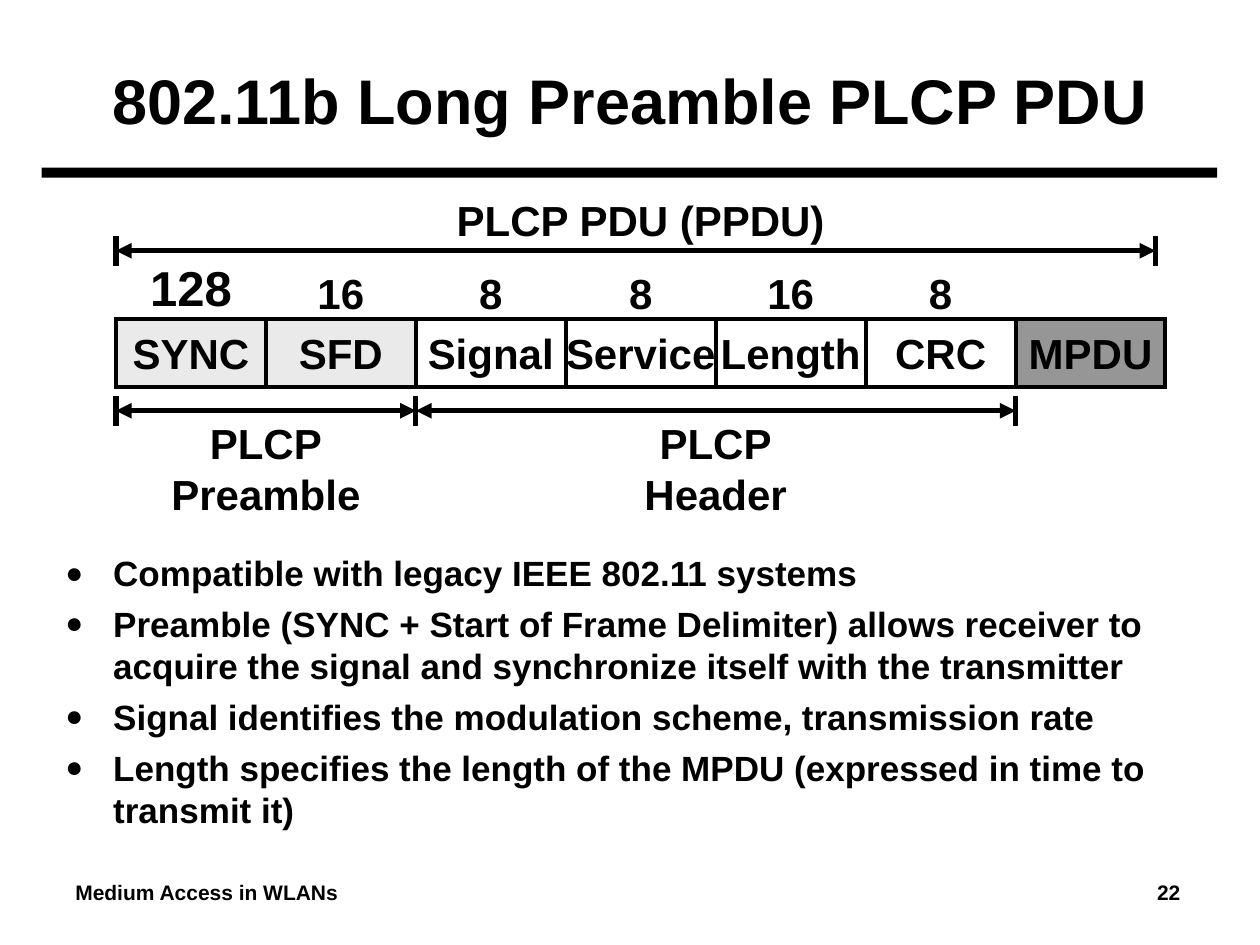
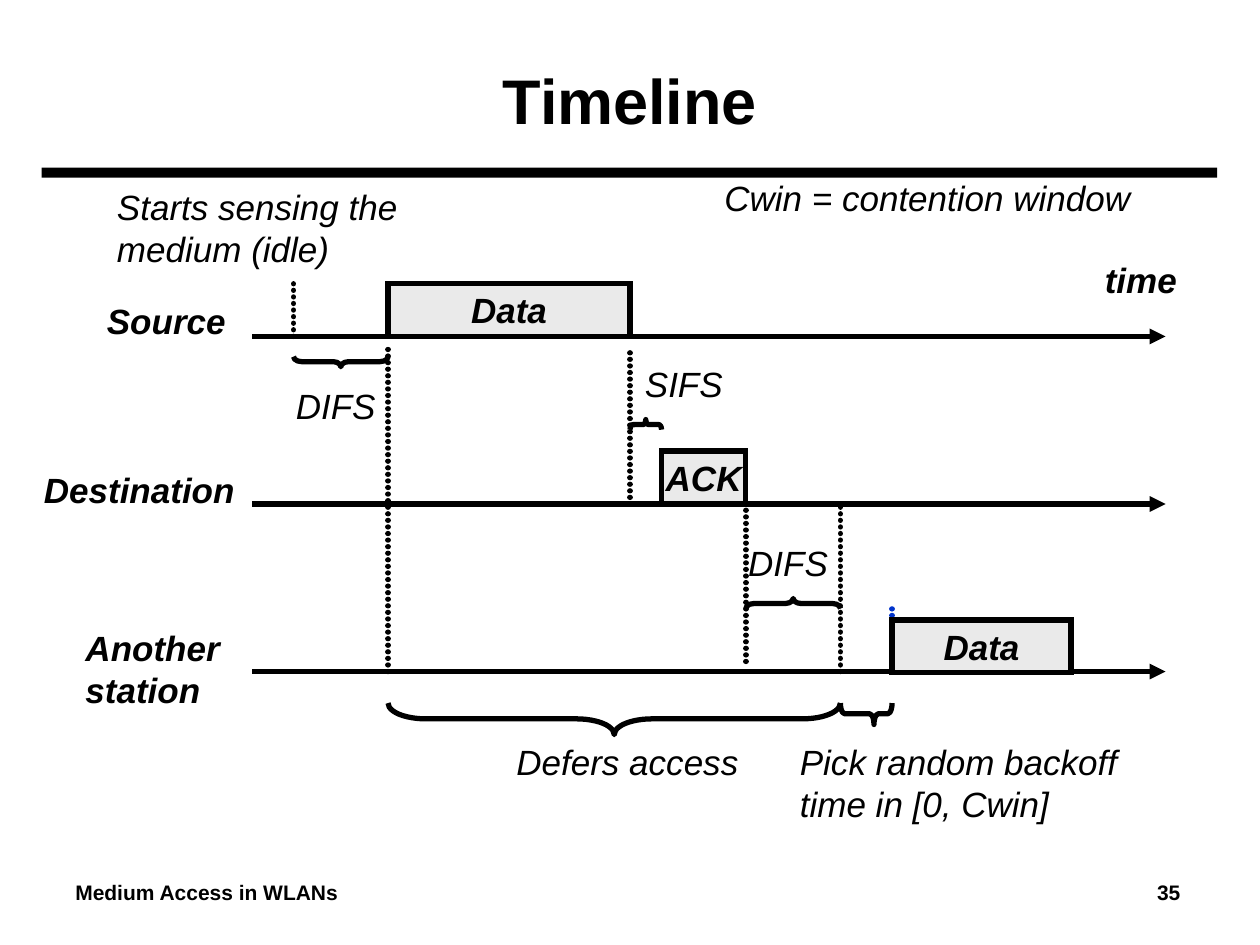
from pptx import Presentation
from pptx.dml.color import RGBColor
from pptx.enum.shapes import MSO_CONNECTOR, MSO_SHAPE
from pptx.enum.text import MSO_ANCHOR, MSO_AUTO_SIZE, PP_ALIGN
from pptx.oxml.ns import qn
from pptx.util import Inches, Pt
from lxml.etree import SubElement

# Shared look
hues = {"ink": "000000", "paper": "FFFFFF", "pale": "EAEAEA", "gray": "969696", "blue": "0033CC"}
rgb = {name: RGBColor.from_string(code) for name, code in hues.items()}
base = {"name": "Arial", "bold": True, "italic": False}
big = {**base, "size": Pt(24)}
strong = {**base, "size": Pt(20), "italic": True}
light = {**strong, "bold": False}


def write(shape, words, style, align=PP_ALIGN.LEFT, anchor=MSO_ANCHOR.TOP, wrap=True):
    frame = shape.text_frame
    frame.text = words
    frame.word_wrap = wrap
    frame.auto_size = MSO_AUTO_SIZE.NONE
    frame.vertical_anchor = anchor
    for para in frame.paragraphs:
        para.alignment = align
        para.font.color.rgb = rgb["ink"]
        for key, value in style.items():
            setattr(para.font, key, value)
    return frame


def draw(slide, x1, y1, x2, y2, ends=(), dots=False, hue="ink"):
    line = slide.shapes.add_connector(
        MSO_CONNECTOR.STRAIGHT, Inches(x1), Inches(y1), Inches(x2), Inches(y2))
    line.line.color.rgb = rgb[hue]
    line.line.width = Pt(3)
    props = line._element.spPr
    stroke = props.find(qn("a:ln"))
    if dots:
        stroke.set("cap", "rnd")
        dash = SubElement(stroke, qn("a:custDash"))
        SubElement(dash, qn("a:ds"), d="100000", sp="25000")
    for end in ends:
        SubElement(stroke, qn(f"a:{end}"), type="triangle")
    SubElement(props, qn("a:effectLst"))


deck = Presentation()
deck.slide_width, deck.slide_height = Inches(10), Inches(7.5)

# Titles and footers
slides = []
for name, page in [("802.11b Long Preamble PLCP PDU", 22), ("Timeline", 35)]:
    slide = deck.slides.add_slide(deck.slide_layouts[5])
    slides.append(slide)
    title = slide.shapes.title
    title.left, title.top, title.width, title.height = map(Inches, (0.5, 0.25, 9, 1.08))
    write(title, name, {**base, "size": Pt(36)}, PP_ALIGN.CENTER, MSO_ANCHOR.MIDDLE)
    foot = slide.shapes.add_textbox(*map(Inches, (0.5, 6.83, 9, 0.5)))
    frame = write(foot, f"Medium Access in WLANs\t{page}", {**base, "size": Pt(12)},
                  anchor=MSO_ANCHOR.MIDDLE)
    props = frame.paragraphs[0]._p.get_or_add_pPr()
    tabs = SubElement(props, qn("a:tabLst"))
    SubElement(tabs, qn("a:tab"), pos=str(Inches(8.77)), algn="r")
    props.insert(0, tabs)
frames, times = slides

# Rule under the title, kept on the master
rule = frames.shapes.add_shape(MSO_SHAPE.RECTANGLE, *map(Inches, (0.33, 1.33, 9.33, 0.08)))
rule.shadow.inherit = False
rule.fill.solid()
rule.fill.fore_color.rgb = rgb["ink"]
rule.line.fill.background()
deck.slide_master.shapes._spTree.append(rule._element)

# Frame fields: name, bits, fill
left, step = 0.92, 1.19
fields = [("SYNC", "128", "pale"), ("SFD", "16", "pale"), ("Signal", "8", "paper"),
          ("Service", "8", "paper"), ("Length", "16", "paper"), ("CRC", "8", "paper"),
          ("MPDU", "", "gray")]
cells = [(frames, left + i * step, 2.53, step, 0.54, name, fill, 2.25, big)
         for i, (name, bits, fill) in enumerate(fields)]

# Timeline blocks
cells += [(times, x, y, w, 0.42, name, "pale", 3, strong)
          for x, y, w, name in [(3.08, 2.25, 1.92, "Data"), (5.25, 3.58, 0.67, "ACK"),
                                (7.08, 4.92, 1.42, "Data")]]

# Time axes, dotted marks
for y in (2.67, 4, 5.33):
    draw(times, 2, y, 9.25, y, ["tailEnd"])
for x, low, high, hue in [(2.33, 2.67, 2.25, "ink"), (5, 4, 2.75, "ink"),
                          (3.08, 5.33, 2.75, "ink"), (6.67, 5.33, 4, "ink"),
                          (5.92, 5.25, 4, "ink"), (7.08, 5.25, 4.83, "blue")]:
    draw(times, x, low, x, high, dots=True, hue=hue)

# Boxes of both slides
for slide, x, y, w, h, name, fill, width, style in cells:
    box = slide.shapes.add_shape(MSO_SHAPE.RECTANGLE, *map(Inches, (x, y, w, h)))
    box.shadow.inherit = False
    box.fill.solid()
    box.fill.fore_color.rgb = rgb[fill]
    box.line.color.rgb = rgb["ink"]
    box.line.width = Pt(width)
    SubElement(box._element.spPr.find(qn("a:ln")), qn("a:miter"), lim="800000")
    write(box, name, style, PP_ALIGN.CENTER, MSO_ANCHOR.MIDDLE, wrap=False)

# Bit counts and span labels
marks = [(left + i * step, 2.08, step, 0.49, bits, big)
         for i, (name, bits, fill) in enumerate(fields) if 0 < i < 6]
marks += [(left, 2, step, 0.56, "128", {**big, "size": Pt(28)}),
          (1, 1.5, 8.17, 0.49, "PLCP PDU (PPDU)", big),
          (left, 3.27, 2 * step, 0.89, "PLCP\vPreamble", big),
          (left + 2 * step, 3.27, 4 * step, 0.89, "PLCP\vHeader", big)]
for x, y, w, h, words, style in marks:
    note = frames.shapes.add_textbox(*map(Inches, (x, y, w, h)))
    write(note, words, style, PP_ALIGN.CENTER, MSO_ANCHOR.MIDDLE)

# Span arrows and their end ticks
for x1, x2, y in [(left, 9.17, 1.99), (left, 3.3, 3.26), (3.3, 8.06, 3.26)]:
    draw(frames, x1, y, x2, y, ["headEnd", "tailEnd"])
for x, y in [(left, 1.99), (9.17, 1.99), (left, 3.26), (3.3, 3.26), (8.06, 3.26)]:
    draw(frames, x, y - 0.12, x, y + 0.12)

# Bullets
points = ["Compatible with legacy IEEE 802.11 systems",
          "Preamble (SYNC + Start of Frame Delimiter) allows receiver to acquire "
          "the signal and synchronize itself with the transmitter",
          "Signal identifies the modulation scheme, transmission rate",
          "Length specifies the length of the MPDU (expressed in time to transmit it)"]
body = frames.shapes.add_textbox(*map(Inches, (0.42, 4.33, 9.08, 2.5)))
body.text_frame.word_wrap = True
for i, point in enumerate(points):
    para = body.text_frame.paragraphs[0] if i == 0 else body.text_frame.add_paragraph()
    para.text = point
    para.space_before = Pt(5 if i else 0)
    props = para._p.get_or_add_pPr()
    props.set("marL", str(Inches(0.38)))
    props.set("indent", str(-Inches(0.38)))
    SubElement(props, qn("a:buSzPct"), val="85000")
    SubElement(props, qn("a:buFont"), typeface="Arial")
    SubElement(props, qn("a:buChar"), char="●")
    para.font.color.rgb = rgb["ink"]
    for key, value in {**base, "size": Pt(20)}.items():
        setattr(para.font, key, value)

# Braces: start, end, top, depth, turn, tip
for x1, x2, y, deep, turn, tip in [(2.33, 3.08, 2.83, 0.08, 270, 0.5),
                                   (5, 5.25, 3.33, 0.08, 90, 0.5),
                                   (5.92, 6.67, 4.75, 0.08, 90, 0.5),
                                   (3.08, 6.67, 5.58, 0.25, 270, 0.5),
                                   (6.67, 7.08, 5.58, 0.17, 270, 0.65)]:
    span = x2 - x1
    brace = times.shapes.add_shape(
        MSO_SHAPE.LEFT_BRACE, Inches((x1 + x2 - deep) / 2), Inches(y + (deep - span) / 2),
        Inches(deep), Inches(span))
    brace.shadow.inherit = False
    brace.rotation = turn
    brace.adjustments[0] = span / 12 / deep
    brace.adjustments[1] = tip
    brace.fill.background()
    brace.line.color.rgb = rgb["ink"]
    brace.line.width = Pt(3)

# Timeline labels
for x, y, w, h, words, style in [
        (0.83, 1.42, 2.58, 0.77, "Starts sensing the medium (idle)", light),
        (5.65, 1.35, 3.42, 0.44, "Cwin = contention window", light),
        (2.25, 3, 0.83, 0.44, "DIFS", light),
        (5.02, 2.83, 0.82, 0.44, "SIFS", light),
        (5.84, 4.25, 0.83, 0.44, "DIFS", light),
        (4, 5.83, 1.96, 0.44, "Defers access", light),
        (6.25, 5.83, 2.83, 0.77, "Pick random backoff time in [0, Cwin]", light),
        (8.67, 2, 0.77, 0.44, "time", strong),
        (0.75, 2.33, 1.14, 0.44, "Source", strong),
        (0.25, 3.67, 1.71, 0.44, "Destination", strong),
        (0.58, 4.92, 1.42, 0.77, "Another station", strong)]:
    label = times.shapes.add_textbox(*map(Inches, (x, y, w, h)))
    write(label, words, style, wrap=h > 0.5)

deck.save("out.pptx")
